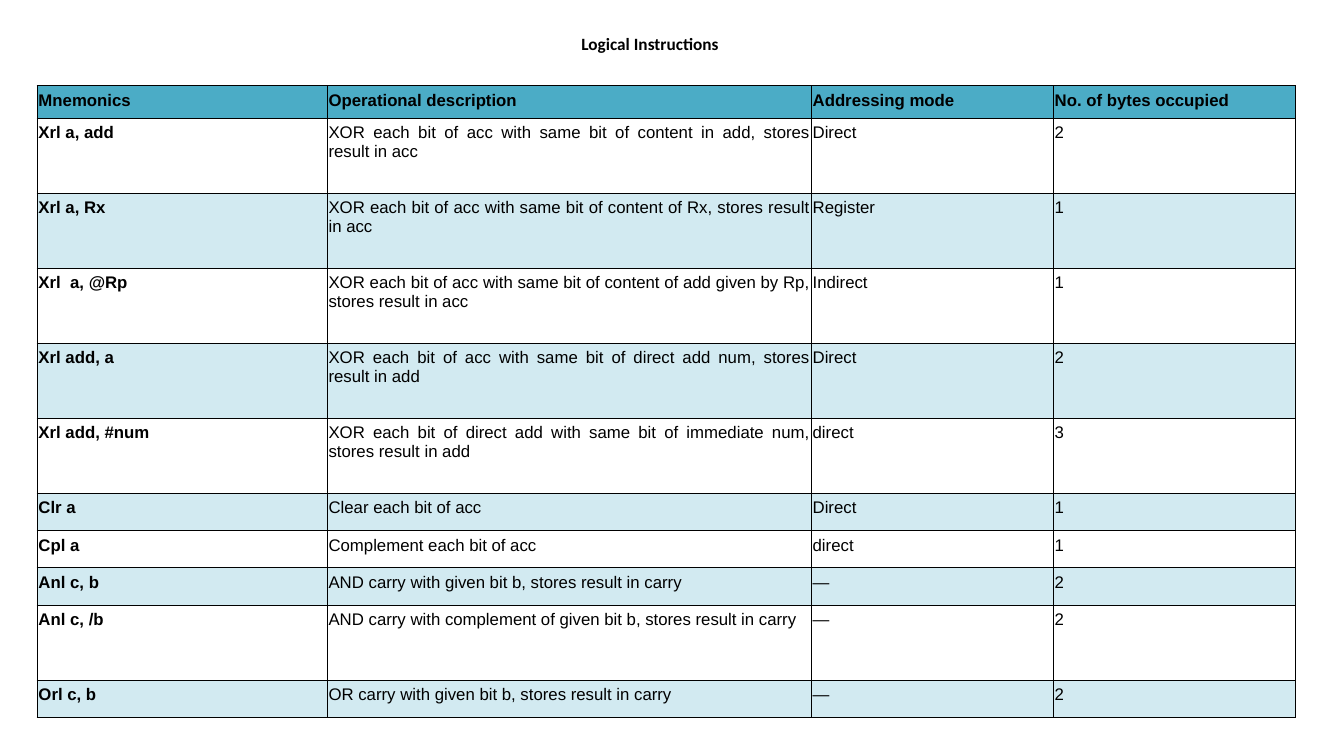
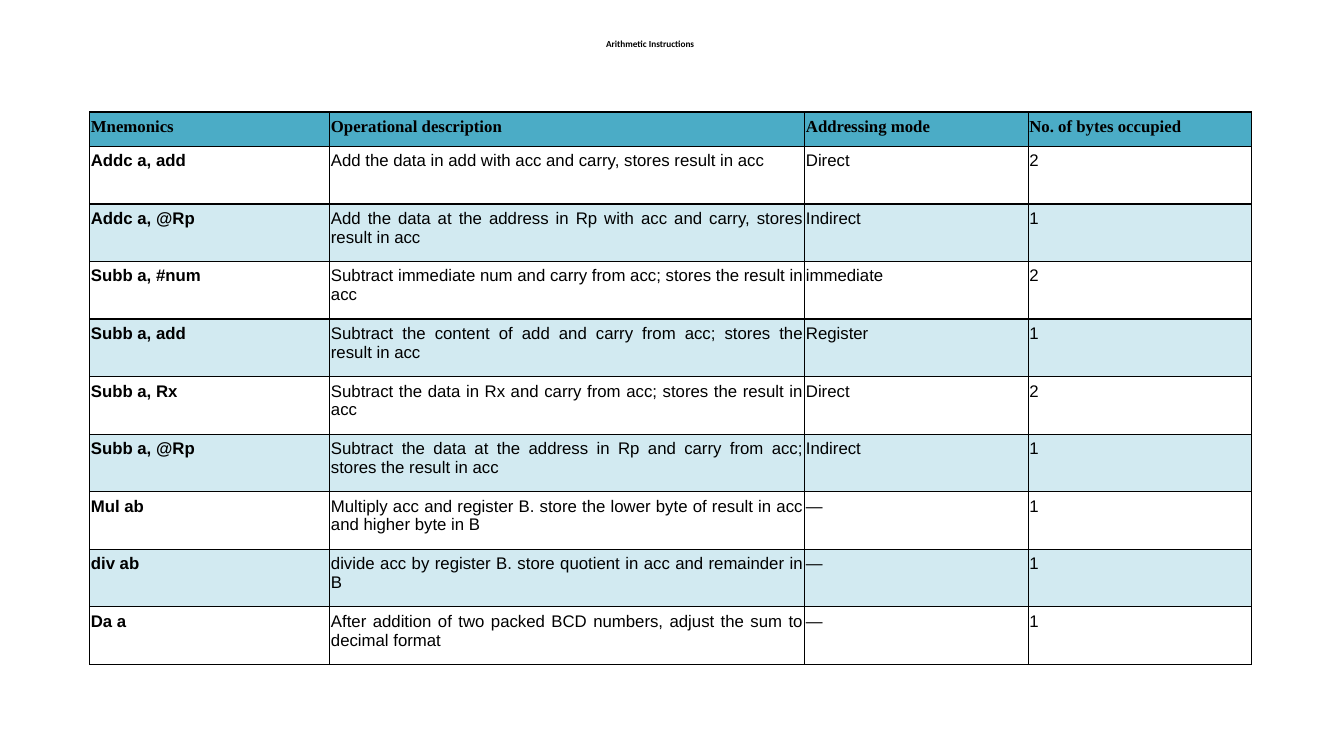
from dataclasses import dataclass

from lxml import etree
from pptx import Presentation
from pptx.dml.color import RGBColor
from pptx.enum.text import MSO_ANCHOR, PP_ALIGN
from pptx.oxml.ns import qn
from pptx.util import Cm, Pt

CENTER, JUSTIFY = PP_ALIGN.CENTER, PP_ALIGN.JUSTIFY
MIDDLE = MSO_ANCHOR.MIDDLE


@dataclass(frozen=True)
class Theme:
    ink: str = "000000"
    header: str = "4BACC6"
    band: str = "D2EAF1"
    title_font: str = "Calibri"
    body_font: str = "Arial"
    body_size: float = 12
    border: float = 0.96


THEME = Theme()
HEADER = ("Mnemonics", "Operational description", "Addressing mode", "No. of bytes occupied")
TALL, SHORT = 1.89, 0.94

LOGICAL = [
    ("Xrl a, add", "XOR each bit of acc with same bit of content in add, stores result in acc", "Direct", "2"),
    ("Xrl a, Rx", "XOR each bit of acc with same bit of content of Rx, stores result in acc", "Register", "1"),
    ("Xrl  a, @Rp", "XOR each bit of acc with same bit of content of add given by Rp, stores result in acc",
     "Indirect", "1"),
    ("Xrl add, a", "XOR each bit of acc with same bit of direct add num, stores result in add", "Direct", "2"),
    ("Xrl add, #num", "XOR each bit of direct add with same bit of immediate num, stores result in add",
     "direct", "3"),
    ("Clr a", "Clear each bit of acc", "Direct", "1"),
    ("Cpl a", "Complement each bit of acc", "direct", "1"),
    ("Anl c, b", "AND carry with given bit b, stores result in carry", "—", "2"),
    ("Anl c, /b", "AND carry with complement of given bit b, stores result in carry", "—", "2"),
    ("Orl c, b", "OR carry with given bit b, stores result in carry", "—", "2"),
]

ARITHMETIC = [
    ("Addc a, add", "Add the data in add with acc and carry, stores result in acc", "Direct", "2"),
    ("Addc a, @Rp", "Add the data at the address in Rp with acc and carry, stores result in acc", "Indirect", "1"),
    ("Subb a, #num", "Subtract immediate num and carry from acc; stores the result in acc", "immediate", "2"),
    ("Subb a, add", "Subtract the content of add and carry from acc; stores the result in acc", "Register", "1"),
    ("Subb a, Rx", "Subtract the data in Rx and carry from acc; stores the result in acc", "Direct", "2"),
    ("Subb a, @Rp", "Subtract the data at the address in Rp and carry from acc; stores the result in acc",
     "Indirect", "1"),
    ("Mul ab", "Multiply acc and register B. store the lower byte of result in acc and higher byte in B", "—", "1"),
    ("div ab", "divide acc by register B. store quotient in acc and remainder in B", "—", "1"),
    ("Da a", "After addition of two packed BCD numbers, adjust the sum to decimal format", "—", "1"),
]

# Lengths in cm; heights start with the header row.
SLIDES = [
    dict(title="Logical Instructions", title_size=12.3, header_font="Arial", rows=LOGICAL,
         left=0.94, top=2.16, widths=(7.31, 12.2, 6.1, 6.1),
         heights=[0.82] + [TALL] * 5 + [SHORT] * 3 + [TALL, SHORT]),
    dict(title="Arithmetic Instructions", title_size=6.6, header_font="Times New Roman", rows=ARITHMETIC,
         left=2.26, top=2.82, widths=(6.05, 11.97, 5.63, 5.63),
         heights=[0.87] + [1.45] * len(ARITHMETIC)),
]


def style(p, font, size, bold, align):
    p.alignment = align
    p.font.name, p.font.size, p.font.bold = font, Pt(size), bold
    p.font.color.rgb = RGBColor.from_string(THEME.ink)


def add_title(slide, text, size):
    tf = slide.shapes.add_textbox(Cm(1.22), Cm(0.25), Cm(30.33), Cm(2.16)).text_frame
    tf.word_wrap = True
    tf.vertical_anchor = MIDDLE
    tf.margin_bottom = Cm(0.53)
    p = tf.paragraphs[0]
    p.text = text
    p.line_spacing = 0.9
    style(p, THEME.title_font, size, True, CENTER)


def add_borders(cell):
    """Draw all four borders; call before filling, as lines precede the fill in the XML."""
    tc_pr = cell._tc.get_or_add_tcPr()
    for side in ("lnL", "lnR", "lnT", "lnB"):
        ln = etree.SubElement(tc_pr, qn(f"a:{side}"), w=str(Pt(THEME.border)))
        fill = etree.SubElement(ln, qn("a:solidFill"))
        etree.SubElement(fill, qn("a:srgbClr"), val=THEME.ink)


def fill_cell(cell, text, font, bold, color):
    cell.margin_left = cell.margin_right = Cm(0.03)
    cell.margin_top = cell.margin_bottom = Cm(0.13)
    add_borders(cell)
    if color:
        cell.fill.solid()
        cell.fill.fore_color.rgb = RGBColor.from_string(color)
    else:
        cell.fill.background()
    p = cell.text_frame.paragraphs[0]
    p.text = text
    style(p, font, THEME.body_size, bold, JUSTIFY)


def add_instruction_table(slide, rows, left, top, widths, heights, header_font):
    table = slide.shapes.add_table(len(heights), len(widths), Cm(left), Cm(top),
                                   Cm(sum(widths)), Cm(sum(heights))).table
    table.first_row = table.horz_banding = False
    for column, width in zip(table.columns, widths):
        column.width = Cm(width)
    for r, (values, height) in enumerate(zip([HEADER, *rows], heights)):
        table.rows[r].height = Cm(height)
        is_header = r == 0
        font = header_font if is_header else THEME.body_font
        color = THEME.header if is_header else THEME.band if r % 2 == 0 else None
        for c, text in enumerate(values):
            fill_cell(table.cell(r, c), text, font, is_header or c == 0, color)


def main():
    prs = Presentation()
    prs.slide_width, prs.slide_height = Cm(33.87), Cm(19.05)
    for content in SLIDES:
        slide = prs.slides.add_slide(prs.slide_layouts[6])
        layout = dict(content)
        add_title(slide, layout.pop("title"), layout.pop("title_size"))
        add_instruction_table(slide, **layout)
    prs.save("out.pptx")


if __name__ == "__main__":
    main()
